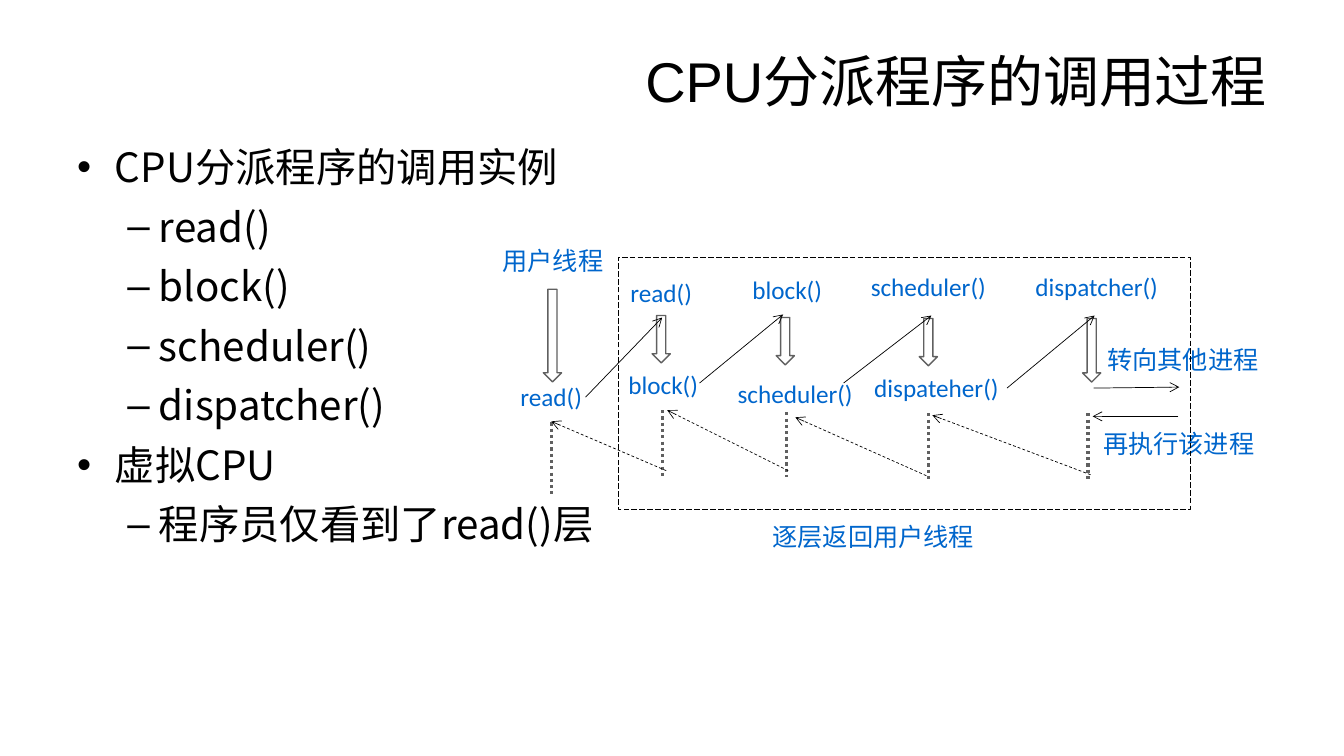
import pptx
import pptx.dml.color
import pptx.enum.dml
import pptx.enum.shapes
import pptx.enum.text
import pptx.oxml.ns
import pptx.util
import lxml.etree

Pt = pptx.util.Pt
DASH = pptx.enum.dml.MSO_LINE
SHAPE = pptx.enum.shapes.MSO_SHAPE
ALIGN = pptx.enum.text.PP_ALIGN
ANCHOR = pptx.enum.text.MSO_ANCHOR
CJK = "Noto Sans CJK SC"


def add_xml(parent, tag, **attrs):
    """Append an empty DrawingML element to the parent."""
    return lxml.etree.SubElement(parent, pptx.oxml.ns.qn(tag), attrs)


class Deck:
    """Holds the colours and the current slide and draws its elements."""

    colors = {"ink": "000000", "label": "0066CC", "flow": "606060", "paper": "FFFFFF"}

    def __init__(self, prs):
        """Add a blank slide to the presentation."""
        self.s = prs.slides.add_slide(prs.slide_layouts[6])
        self.s.background.fill.solid()
        self.s.background.fill.fore_color.rgb = self.rgb("paper")

    def rgb(self, name):
        """Return a named colour."""
        return pptx.dml.color.RGBColor.from_string(self.colors[name])

    def frame(self, x, y, w, h, anchor, inset=None):
        """Add a wrapping text box and return its text frame."""
        tf = self.s.shapes.add_textbox(Pt(x), Pt(y), Pt(w), Pt(h)).text_frame
        tf.word_wrap = True
        tf.vertical_anchor = anchor
        if inset is not None:
            tf.margin_left = tf.margin_right = Pt(inset)
            tf.margin_top = tf.margin_bottom = Pt(inset)
        return tf

    def run(self, p, text, size, font, color):
        """Add a styled run to a paragraph."""
        r = p.add_run()
        r.text = text
        r.font.size = Pt(size)
        r.font.name = font
        r.font.color.rgb = self.rgb(color)
        add_xml(r.font._element, "a:ea", typeface=CJK)

    def title(self, text):
        """Add the right-aligned slide title."""
        p = self.frame(48, 21.6, 864, 71.3, ANCHOR.MIDDLE).paragraphs[0]
        p.alignment = ALIGN.RIGHT
        self.run(p, text, 40, "Arial", "ink")

    def bullets(self, items):
        """Add the two-level bullet list."""
        tf = self.frame(48, 92.9, 864, 389.5, ANCHOR.TOP)
        for i, (level, text) in enumerate(items):
            p = tf.add_paragraph() if i else tf.paragraphs[0]
            indent, hang, char = [(27, 27, "•"), (58.5, 22.5, "–")][level]
            p.level = level
            p.line_spacing = 1.15
            p.space_before = Pt(2.8 if i else 0)
            pPr = p._p.get_or_add_pPr()
            pPr.set("marL", str(Pt(indent)))
            pPr.set("indent", str(-Pt(hang)))
            add_xml(pPr, "a:buFont", typeface="Arial")
            add_xml(pPr, "a:buChar", char=char)
            self.run(p, text, 28.8, CJK, "ink")

    def label(self, text, x, y, w, h=35.3):
        """Add a centred diagram label."""
        p = self.frame(x, y, w, h, ANCHOR.MIDDLE, 0).paragraphs[0]
        p.alignment = ALIGN.CENTER
        self.run(p, text, 18, "Calibri", "label")

    def outline(self, kind, x, y, w, h, color, width, dash=None):
        """Add an unfilled preset shape."""
        sp = self.s.shapes.add_shape(kind, Pt(x), Pt(y), Pt(w), Pt(h))
        sp.shadow.inherit = False
        sp.fill.background()
        self.stroke(sp.line, color, width, dash)

    def line(self, x1, y1, x2, y2, color="ink", width=0.5, dash=None, arrow=True):
        """Add a straight line, with an arrowhead at its end if wanted."""
        sp = self.s.shapes.add_connector(
            pptx.enum.shapes.MSO_CONNECTOR.STRAIGHT, Pt(x1), Pt(y1), Pt(x2), Pt(y2))
        self.stroke(sp.line, color, width, dash)
        if arrow:
            add_xml(sp.line._get_or_add_ln(), "a:tailEnd", type="arrow")
        add_xml(sp._element.spPr, "a:effectLst")

    def stroke(self, line, color, width, dash):
        """Style a line."""
        line.color.rgb = self.rgb(color)
        line.width = Pt(width)
        if dash is not None:
            line.dash_style = dash


BULLETS = [
    (0, "CPU分派程序的调用实例"),
    (1, "read()"),
    (1, "block()"),
    (1, "scheduler()"),
    (1, "dispatcher()"),
    (0, "虚拟CPU"),
    (1, "程序员仅看到了read()层"),
]
LABELS = [
    ("用户线程", 343.4, 168.5, 103),
    ("read()", 354.2, 265.7, 79.2),
    ("read()", 431.3, 191.5, 82.1),
    ("block()", 432.7, 257, 82.1),
    ("block()", 514.1, 189.4, 96.5),
    ("scheduler()", 519.8, 263.5, 96.5),
    ("scheduler()", 614.9, 187.2, 96.5),
    ("dispateher()", 618.5, 259.2, 100.8),
    ("dispatcher()", 731.5, 187.2, 103.7),
    ("转向其他进程", 787.7, 239, 114.5),
    ("再执行该进程", 782.6, 298.8, 118.8),
    ("逐层返回用户线程", 516.2, 363.6, 215.3, 38.9),
]
STAGES = [
    (388.1, 206.6, 66.2, 394, 301.7, 355),
    (465.8, 225.4, 33.8, 473, 293, 339.8),
    (554.4, 226.8, 33.8, 561.6, 294.5, 340.6),
    (656.6, 227.5, 33.8, 663.1, 295.2, 342),
    (773.3, 227.5, 45.4, 777.2, 295.2, 342),
]
CALLS = [
    (418.3, 283.7, 473, 226.8),
    (499.7, 273.6, 559.4, 224.6),
    (602.6, 273.6, 665.3, 225.4),
    (719.3, 277.2, 781.9, 225.4),
    (781.2, 277.2, 842.4, 276.5),
    (841.7, 297.4, 780.5, 297.4),
]
RETURNS = [
    (475.9, 336.2, 393.8, 301),
    (563, 336.2, 476.6, 293),
    (661.7, 339.8, 568.1, 298.1),
    (779, 339.1, 666, 296.6),
]


def main():
    """Build the slide and save it."""
    prs = pptx.Presentation()
    prs.slide_width, prs.slide_height = Pt(960), Pt(540)
    deck = Deck(prs)
    deck.title("CPU分派程序的调用过程")
    deck.bullets(BULLETS)
    for label in LABELS:
        deck.label(*label)
    for x, y, h, wait_x, wait_top, wait_end in STAGES:
        deck.outline(SHAPE.DOWN_ARROW, x, y, 13, h, "flow", 1)
        deck.line(wait_x, wait_top, wait_x, wait_end, "flow", 2.25, DASH.ROUND_DOT, False)
    for call in CALLS:
        deck.line(*call)
    for back in RETURNS:
        deck.line(*back, dash=DASH.DASH)
    deck.outline(SHAPE.RECTANGLE, 441.4, 183.6, 409, 180, "ink", 0.5, DASH.LONG_DASH)
    prs.save("out.pptx")


if __name__ == "__main__":
    main()
